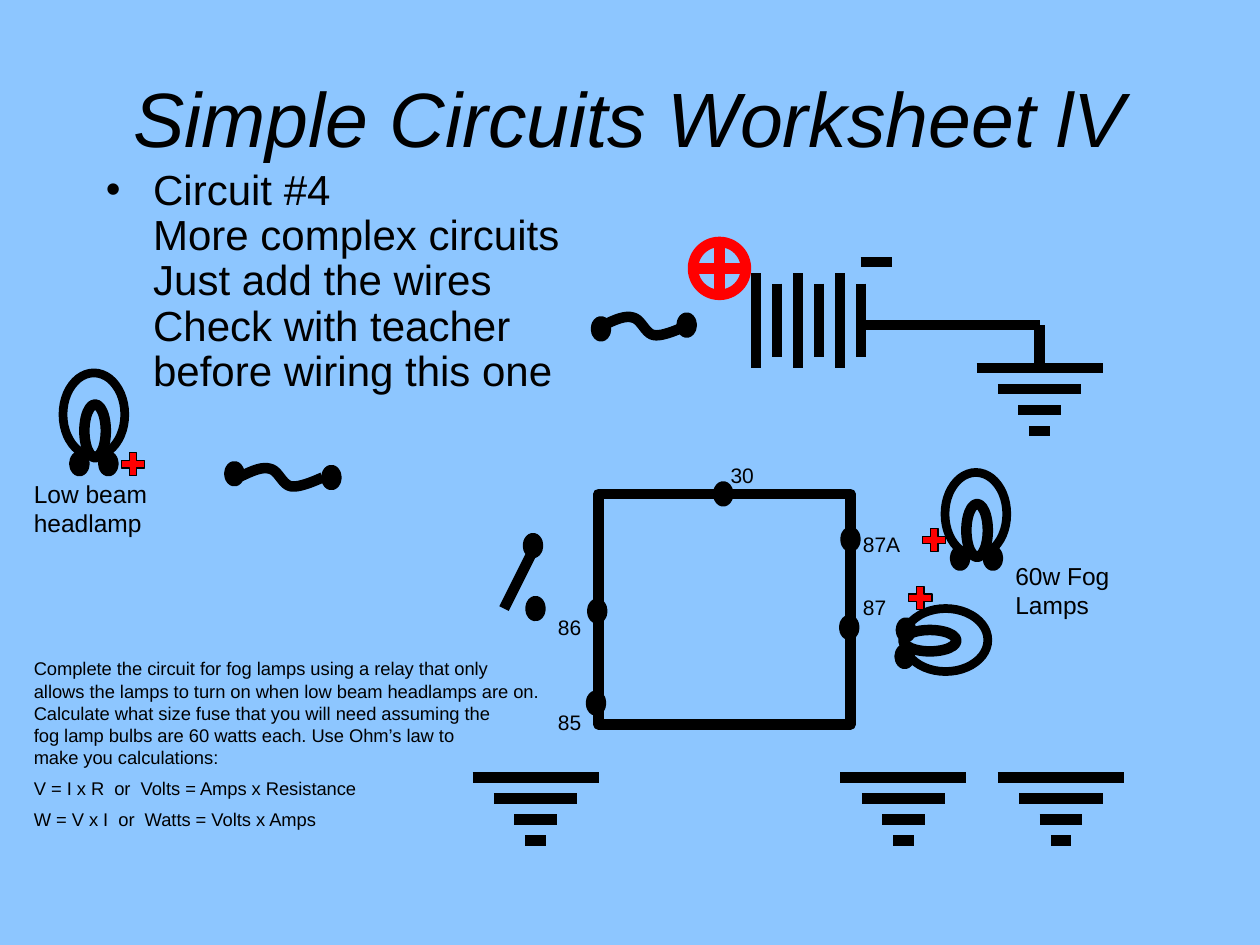
from copy import deepcopy
from dataclasses import dataclass
from typing import NamedTuple

from lxml.etree import SubElement
from pptx import Presentation
from pptx.dml.color import RGBColor
from pptx.enum.shapes import MSO_CONNECTOR as Connector
from pptx.enum.shapes import MSO_SHAPE as Preset
from pptx.enum.text import MSO_ANCHOR as Anchor
from pptx.enum.text import MSO_AUTO_SIZE as AutoSize
from pptx.enum.text import PP_ALIGN as Align
from pptx.oxml.ns import qn
from pptx.util import Inches, Pt


@dataclass(frozen=True)
class Theme:
    background: RGBColor = RGBColor(0x8D, 0xC6, 0xFF)
    ink: RGBColor = RGBColor(0, 0, 0)
    positive: RGBColor = RGBColor(0xFF, 0, 0)
    font: str = "Arial"
    title: float = 44
    body: float = 24
    label: float = 14
    pin: float = 12
    task: float = 10.5
    wire: float = 6
    bulb: float = 5


class Point(NamedTuple):
    x: float
    y: float


class Box(NamedTuple):
    left: float
    top: float
    width: float
    height: float


@dataclass(frozen=True)
class Lamp:
    bulb: Box
    filament: Box
    plus: Point
    terminals: tuple[Point, Point]


@dataclass(frozen=True)
class Fuse:
    start: Point
    terminals: tuple[Point, Point]


class Label(NamedTuple):
    text: str
    box: Box
    size: float


THEME = Theme()

LAMPS = [
    Lamp(Box(0.5, 2.96, 0.49, 0.66), Box(0.67, 3.21, 0.17, 0.42),
         Point(0.93, 3.56), (Point(0.59, 3.62), Point(0.82, 3.62))),
    Lamp(Box(7.5, 3.75, 0.49, 0.66), Box(7.67, 4, 0.17, 0.42),
         Point(7.29, 4.16), (Point(7.58, 4.37), Point(7.84, 4.37))),
    Lamp(Box(7.17, 4.83, 0.67, 0.5), Box(7.17, 5, 0.42, 0.17),
         Point(7.18, 4.62), (Point(7.15, 4.94), Point(7.14, 5.15))),
]
FUSES = [
    Fuse(Point(4.77, 2.59), (Point(4.73, 2.55), Point(5.41, 2.52))),
    Fuse(Point(1.89, 3.79), (Point(1.82, 3.7), Point(2.59, 3.73))),
]
GROUNDS = [Point(8.25, 2.92), Point(4.25, 6.17), Point(7.17, 6.17), Point(8.42, 6.17)]
RELAY_PINS = [Point(4.69, 5.52), Point(4.7, 4.79), Point(6.7, 4.92),
              Point(6.71, 4.22), Point(5.7, 3.86)]
SWITCH_CONTACTS = [Point(4.19, 4.27), Point(4.21, 4.77)]
LABELS = [
    Label("85", Box(4.33, 5.58, 0.42, 0.3), THEME.pin),
    Label("86", Box(4.33, 4.83, 0.42, 0.3), THEME.pin),
    Label("30", Box(5.7, 3.62, 0.42, 0.3), THEME.pin),
    Label("87A", Box(6.75, 4.17, 0.58, 0.3), THEME.pin),
    Label("87", Box(6.75, 4.67, 0.42, 0.3), THEME.pin),
    Label("Low beam headlamp", Box(0.17, 3.75, 1.17, 0.57), THEME.label),
    Label("60w Fog Lamps", Box(7.96, 4.4, 1.04, 0.57), THEME.label),
]
CIRCUIT_NOTES = ("Circuit #4\nMore complex circuits\nJust add the wires\n"
                 "Check with teacher before wiring this one")
TASK = [
    "Complete the circuit for fog lamps using a relay that only\n"
    "allows the lamps to turn on when low beam headlamps are on.\n"
    "Calculate what size fuse that you will need assuming the\n"
    "fog lamp bulbs are 60 watts each. Use Ohm’s law to\n"
    "make you calculations:",
    "V = I x R  or  Volts = Amps x Resistance",
    "W = V x I  or  Watts = Volts x Amps",
]

# Fuse wire: cubic segments relative to its start
FUSE_CURVE = [
    (Point(0, 0), Point(0.09, -0.04), Point(0.18, -0.09), Point(0.25, -0.07)),
    (Point(0.25, -0.07), Point(0.32, -0.06), Point(0.35, 0.06), Point(0.42, 0.07)),
    (Point(0.42, 0.07), Point(0.48, 0.08), Point(0.58, 0.04), Point(0.67, 0)),
]


def place(shape, box: Box) -> None:
    shape.left, shape.top, shape.width, shape.height = map(Inches, box)


def write(paragraph, text: str, size: float, italic: bool = False) -> None:
    """Set the text; line breaks take the same format as the runs."""
    paragraph.text = text
    for run in paragraph.runs:
        run.font.name, run.font.size = THEME.font, Pt(size)
        run.font.italic = italic
        run.font.color.rgb = THEME.ink
    for line_break in paragraph._p.findall(qn("a:br")):
        line_break.append(deepcopy(paragraph.runs[0]._r.rPr))


def add_text(slide, box: Box, texts: list[str], size: float) -> None:
    shape = slide.shapes.add_textbox(*map(Inches, box))
    frame = shape.text_frame
    frame.word_wrap = True
    for index, text in enumerate(texts):
        paragraph = frame.add_paragraph() if index else frame.paragraphs[0]
        write(paragraph, text, size)
        if index:
            paragraph.space_before = Pt(size / 2)


def add_outline(slide, preset: Preset, box: Box, width: float = THEME.wire,
                color: RGBColor = THEME.ink):
    shape = slide.shapes.add_shape(preset, *map(Inches, box))
    shape.shadow.inherit = False
    shape.fill.background()
    shape.line.color.rgb, shape.line.width = color, Pt(width)
    return shape


def add_wire(slide, start: Point, end: Point) -> None:
    wire = slide.shapes.add_connector(Connector.STRAIGHT, *map(Inches, start + end))
    wire.line.color.rgb, wire.line.width = THEME.ink, Pt(THEME.wire)
    SubElement(wire._element.spPr, qn("a:effectLst"))


def add_terminal(slide, at: Point) -> None:
    add_outline(slide, Preset.FLOWCHART_CONNECTOR, Box(*at, 0.08, 0.12))


def add_ground(slide, top: Point) -> None:
    for row, half in enumerate((0.5, 0.33, 0.17, 0.08)):
        y = top.y + row / 6
        add_wire(slide, Point(top.x - half, y), Point(top.x + half, y))


def add_lamp(slide, lamp: Lamp) -> None:
    add_outline(slide, Preset.OVAL, lamp.bulb, THEME.bulb)
    add_outline(slide, Preset.OVAL, lamp.filament)
    plus = add_outline(slide, Preset.MATH_PLUS, Box(*lamp.plus, 0.25, 0.25), 0)
    plus.fill.solid()
    plus.fill.fore_color.rgb = THEME.positive
    for terminal in lamp.terminals:
        add_terminal(slide, terminal)


def add_fuse(slide, fuse: Fuse, steps: int = 10) -> None:
    points = []
    for segment in FUSE_CURVE:
        for step in range(1, steps + 1):
            t = step / steps
            weights = ((1 - t) ** 3, 3 * t * (1 - t) ** 2, 3 * t * t * (1 - t), t ** 3)
            offset_x = sum(w * p.x for w, p in zip(weights, segment))
            offset_y = sum(w * p.y for w, p in zip(weights, segment))
            points.append((Inches(fuse.start.x + offset_x), Inches(fuse.start.y + offset_y)))
    builder = slide.shapes.build_freeform(*map(Inches, fuse.start))
    builder.add_line_segments(points, close=False)
    wire = builder.convert_to_shape()
    wire.shadow.inherit = False
    wire.fill.background()
    wire.line.color.rgb, wire.line.width = THEME.ink, Pt(THEME.wire)
    for terminal in fuse.terminals:
        add_terminal(slide, terminal)


def add_battery(slide) -> None:
    for index in range(6):
        x = 6 + index / 6
        top, bottom = (2.25, 2.83) if index % 2 else (2.17, 2.92)
        add_wire(slide, Point(x, top), Point(x, bottom))
    add_outline(slide, Preset.FLOWCHART_OR, Box(5.5, 1.92, 0.42, 0.42), color=THEME.positive)
    add_wire(slide, Point(6.83, 2.08), Point(7.08, 2.08))
    # Lead to ground
    add_wire(slide, Point(6.83, 2.58), Point(8.25, 2.58))
    add_wire(slide, Point(8.25, 2.58), Point(8.25, 2.92))


def main() -> None:
    presentation = Presentation()
    presentation.slide_width, presentation.slide_height = Inches(10), Inches(7.5)
    slide = presentation.slides.add_slide(presentation.slide_layouts[1])
    slide.background.fill.solid()
    slide.background.fill.fore_color.rgb = THEME.background

    # Title and notes
    title, body = slide.placeholders
    place(title, Box(0.5, 0.3, 9, 1.25))
    place(body, Box(0.74, 1.29, 4.42, 1.86))
    title.text_frame.auto_size = body.text_frame.auto_size = AutoSize.NONE
    title.text_frame.vertical_anchor = Anchor.MIDDLE
    heading, notes = title.text_frame.paragraphs[0], body.text_frame.paragraphs[0]
    write(heading, "Simple Circuits Worksheet lV", THEME.title, italic=True)
    heading.alignment = Align.CENTER
    write(notes, CIRCUIT_NOTES, THEME.body)
    notes.line_spacing, notes.space_before = 0.9, Pt(0)
    add_text(slide, Box(0.17, 5.17, 9.58, 1.51), TASK, THEME.task)

    # Power, relay and switch
    add_battery(slide)
    add_outline(slide, Preset.RECTANGLE, Box(4.75, 3.92, 2, 1.83))
    add_wire(slide, Point(4.25, 4.33), Point(4, 4.83))
    for terminal in RELAY_PINS + SWITCH_CONTACTS:
        add_terminal(slide, terminal)

    # Repeated components and labels
    for ground in GROUNDS:
        add_ground(slide, ground)
    for fuse in FUSES:
        add_fuse(slide, fuse)
    for lamp in LAMPS:
        add_lamp(slide, lamp)
    for label in LABELS:
        add_text(slide, label.box, [label.text], label.size)

    presentation.save("out.pptx")


if __name__ == "__main__":
    main()
